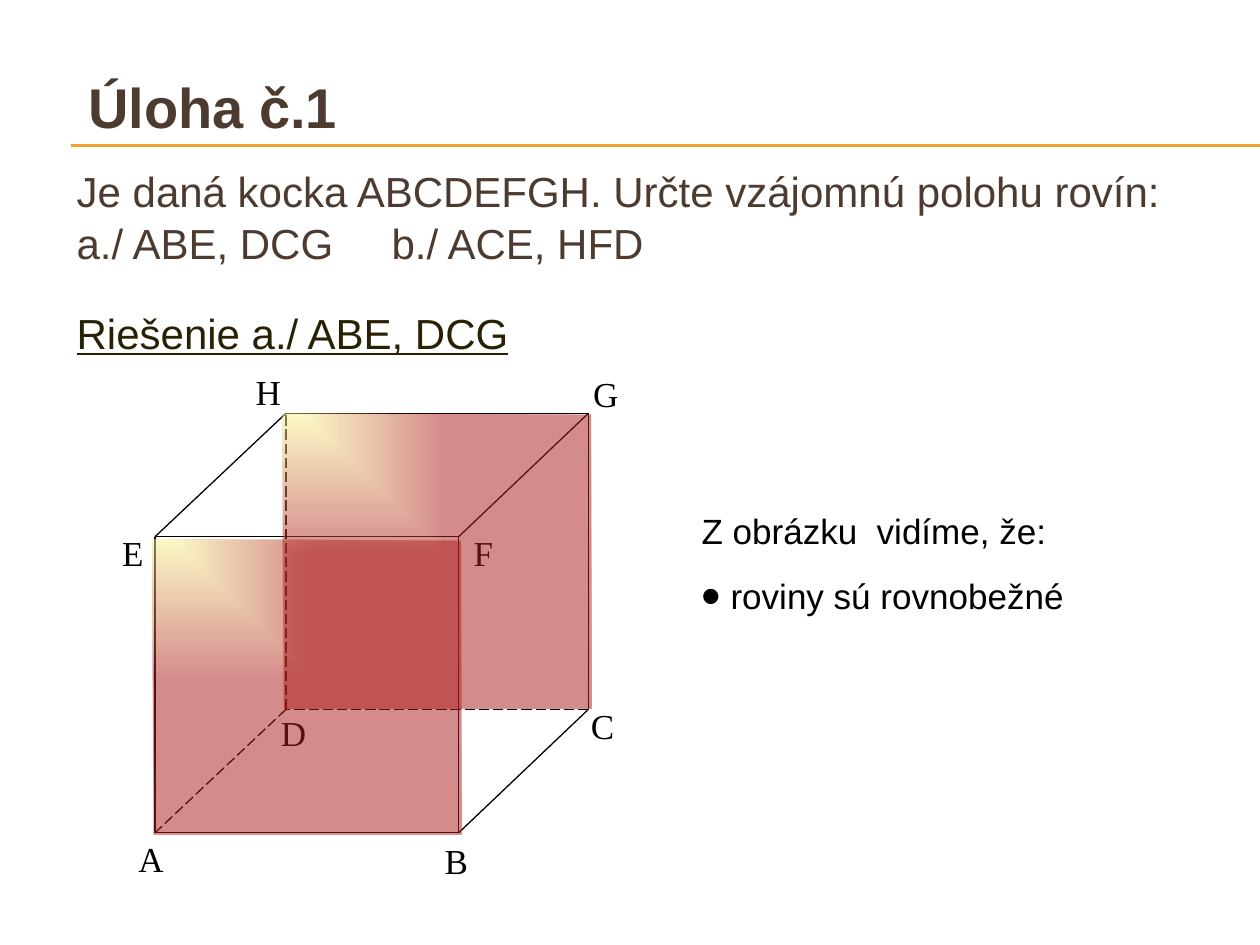
from dataclasses import dataclass
from typing import NamedTuple

from lxml import etree
from pptx import Presentation
from pptx.dml.color import RGBColor
from pptx.enum.dml import MSO_LINE
from pptx.enum.shapes import MSO_CONNECTOR
from pptx.enum.text import MSO_ANCHOR
from pptx.oxml import parse_xml
from pptx.oxml.ns import nsdecls, qn
from pptx.util import Inches, Pt

STRAIGHT = MSO_CONNECTOR.STRAIGHT
LONG_DASH = MSO_LINE.LONG_DASH
TOP, MIDDLE = MSO_ANCHOR.TOP, MSO_ANCHOR.MIDDLE


@dataclass(frozen=True)
class Theme:
    brown: str = "4E3B30"
    olive: str = "2A2003"
    black: str = "000000"
    rule: str = "F0A22E"
    face_start: str = "FFFF99"
    face_end: str = "AD1F1F"
    face_alpha: int = 51
    sans: str = "Arial"
    serif: str = "Times New Roman"
    title_size: int = 32
    body_size: int = 24
    label_size: int = 20
    line_width: float = 0.75


class Point(NamedTuple):
    x: float
    y: float


class Vertex(NamedTuple):
    at: Point
    label: Point


class Edge(NamedTuple):
    ends: str
    hidden: bool = False


class Para(NamedTuple):
    text: str
    size: int
    color: str
    font: str = "Arial"
    bold: bool = False
    underline: bool = False
    before: float = 0
    spacing: object = None


THEME = Theme()
VERTICES = {
    "A": Vertex(Point(1.23, 6.61), Point(1, 6.57)),
    "B": Vertex(Point(3.64, 6.61), Point(3.43, 6.58)),
    "C": Vertex(Point(4.67, 5.63), Point(4.59, 5.51)),
    "D": Vertex(Point(2.27, 5.63), Point(2.13, 5.57)),
    "E": Vertex(Point(1.23, 4.26), Point(0.87, 4.14)),
    "F": Vertex(Point(3.64, 4.26), Point(3.66, 4.14)),
    "G": Vertex(Point(4.67, 3.28), Point(4.61, 2.88)),
    "H": Vertex(Point(2.27, 3.28), Point(1.93, 2.86)),
}
EDGES = [
    Edge("AE"), Edge("BF"), Edge("CG"), Edge("DH", True),
    Edge("AB"), Edge("BC"), Edge("CD", True), Edge("DA", True),
    Edge("EF"), Edge("FG"), Edge("GH"), Edge("HE"),
]
FACE_OUTLINE = [Point(0, 0), Point(2.44, 0.01), Point(2.45, 2.34), Point(0.01, 2.34)]
FACE_ORIGINS = [Point(1.21, 4.28), Point(2.24, 3.28)]


def add_line(slide, start: Point, end: Point, color: str, dashed: bool = False) -> None:
    cx = slide.shapes.add_connector(
        STRAIGHT, Inches(start.x), Inches(start.y), Inches(end.x), Inches(end.y))
    cx.line.color.rgb = RGBColor.from_string(color)
    cx.line.width = Pt(THEME.line_width)
    if dashed:
        cx.line.dash_style = LONG_DASH
    etree.SubElement(cx._element.spPr, qn("a:effectLst"))


def add_text(slide, at: Point, width: float, height: float, paras: list[Para],
             anchor=TOP, left: float = 0.1, top: float = 0.05):
    box = slide.shapes.add_textbox(
        Inches(at.x), Inches(at.y), Inches(width), Inches(height))
    tf = box.text_frame
    tf.word_wrap = True
    tf.vertical_anchor = anchor
    tf.margin_left, tf.margin_top = Inches(left), Inches(top)
    for i, para in enumerate(paras):
        p = tf.add_paragraph() if i else tf.paragraphs[0]
        p.text = para.text
        if para.before:
            p.space_before = Pt(para.before)
        if para.spacing:
            p.line_spacing = para.spacing
        for r in p.runs:
            r.font.name = para.font
            r.font.size = Pt(para.size)
            r.font.bold = para.bold
            r.font.underline = para.underline
            r.font.color.rgb = RGBColor.from_string(para.color)
    return tf


def add_tab_stop(p, position: float) -> None:
    tabs = etree.SubElement(p._p.get_or_add_pPr(), qn("a:tabLst"))
    etree.SubElement(tabs, qn("a:tab"), pos=str(Inches(position)), algn="l")


def add_bullet(p, indent: float, percent: int) -> None:
    p_pr = p._p.get_or_add_pPr()
    p_pr.set("marL", str(Inches(indent)))
    p_pr.set("indent", str(-Inches(indent)))
    etree.SubElement(p_pr, qn("a:buSzPct"), val=str(percent * 1000))
    etree.SubElement(p_pr, qn("a:buFont"), typeface=THEME.sans)
    etree.SubElement(p_pr, qn("a:buChar"), char="•")


def add_face(slide, origin: Point) -> None:
    """Draw a translucent cube face shaded outwards from its top left corner."""
    points = [(Inches(origin.x + p.x), Inches(origin.y + p.y)) for p in FACE_OUTLINE]
    builder = slide.shapes.build_freeform(*points[0])
    builder.add_line_segments(points[1:], close=True)
    sp = builder.convert_to_shape()
    sp.shadow.inherit = False
    sp.line.fill.background()
    stops = "".join(
        f'<a:gs pos="{pos}"><a:srgbClr val="{color}">'
        f'<a:alpha val="{THEME.face_alpha * 1000}"/></a:srgbClr></a:gs>'
        for pos, color in ((0, THEME.face_start), (100000, THEME.face_end)))
    gradient = parse_xml(
        f'<a:gradFill {nsdecls("a")} rotWithShape="1"><a:gsLst>{stops}</a:gsLst>'
        '<a:path path="rect"><a:fillToRect r="100000" b="100000"/></a:path></a:gradFill>')
    sp._element.spPr.find(qn("a:custGeom")).addnext(gradient)


def add_cube(slide) -> None:
    for edge in EDGES:
        start, end = (VERTICES[name].at for name in edge.ends)
        add_line(slide, start, end, THEME.black, edge.hidden)
    for name, vertex in VERTICES.items():
        label = Para(name, THEME.label_size, THEME.black, THEME.serif)
        add_text(slide, vertex.label, 0.41, 0.43, [label], top=0.08)
    for origin in FACE_ORIGINS:
        add_face(slide, origin)


def main() -> None:
    prs = Presentation()
    prs.slide_width, prs.slide_height = Inches(10), Inches(7.5)
    slide = prs.slides.add_slide(prs.slide_layouts[6])

    for y in (1.15, 1.16):
        add_line(slide, Point(0.56, y), Point(10, y), THEME.rule)
    add_text(slide, Point(0.35, 0.36), 9.5, 0.92,
             [Para("Úloha č.1", THEME.title_size, THEME.brown, bold=True)],
             anchor=MIDDLE, left=0.35, top=0.1)

    task = add_text(slide, Point(0.51, 1.23), 9.32, 6.27, [
        Para("Je daná kocka ABCDEFGH. Určte vzájomnú polohu rovín:",
             THEME.body_size, THEME.brown),
        Para("a./ ABE, DCG\tb./ ACE, HFD", THEME.body_size, THEME.brown, before=1),
        Para("Riešenie a./ ABE, DCG", THEME.body_size, THEME.olive,
             underline=True, before=30.6, spacing=Pt(21)),
    ], top=0.08)
    add_tab_stop(task.paragraphs[1], 2.5)

    add_cube(slide)

    answer = add_text(slide, Point(5.47, 3.83), 4.17, 1.45, [
        Para("Z obrázku  vidíme, že:", THEME.label_size, THEME.black, spacing=1.5),
        Para("roviny sú rovnobežné", THEME.label_size, THEME.black, before=13),
    ])
    add_bullet(answer.paragraphs[1], 0.23, 160)
    prs.save("out.pptx")


if __name__ == "__main__":
    main()
